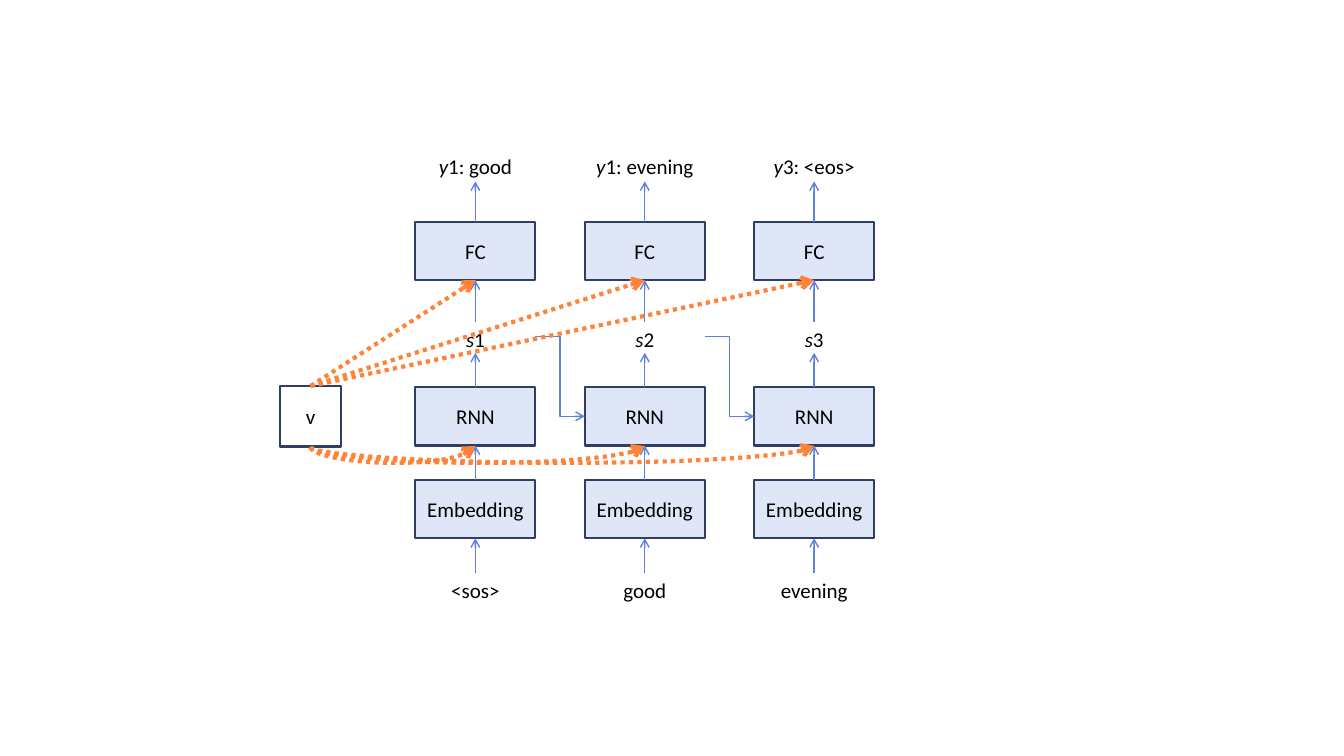
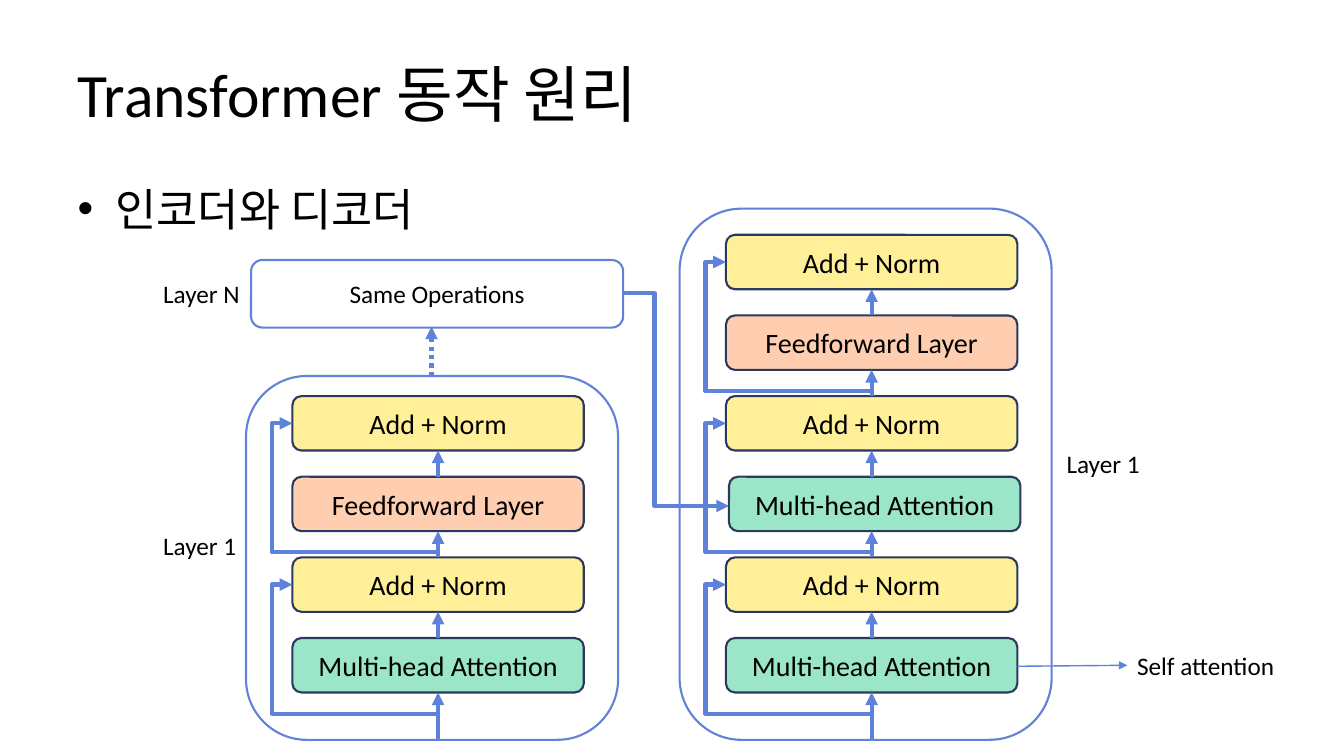
from pptx import Presentation
from pptx.dml.color import RGBColor
from pptx.enum.dml import MSO_LINE
from pptx.enum.shapes import MSO_CONNECTOR as CONN, MSO_SHAPE as SHAPE
from pptx.enum.text import MSO_ANCHOR as ANCHOR, PP_ALIGN as ALIGN
from pptx.oxml.ns import qn
from pptx.util import Inches, Pt
from lxml.etree import SubElement

FONT = "Calibri"
COLORS = {
    "text": "000000", "white": "FFFFFF", "cell": "DFE6F7",
    "cell_line": "2E3E67", "block_line": "2B395E", "frame_line": "6182D6",
    "arrow": "5E81D9", "context": "FF843A",
    "attention": "9BE5C8", "norm": "FFEF99", "feedforward": "FFCEB0",
}
BLOCKS = {
    "attention": "Multi-head Attention",
    "norm": "Add + Norm",
    "feedforward": "Feedforward Layer",
}
BLOCK_W, BLOCK_H, BLOCK_STEP, BLOCK_BOTTOM = 2.89, 0.54, 0.8, 6.33
CELL_W, CELL_H, CELL_STEP = 1.19, 0.58, 1.68


def rgb(name):
    return RGBColor.from_string(COLORS[name])


def add_run(p, text, size, italic=False):
    r = p.add_run()
    r.text = text
    r.font.name = FONT
    r.font.size = Pt(size)
    r.font.color.rgb = rgb("text")
    if italic:
        r.font.italic = True


def add_box(s, x, y, w, h, fill, line, text="", size=15, kind=SHAPE.RECTANGLE):
    sp = s.shapes.add_shape(kind, Inches(x), Inches(y), Inches(w), Inches(h))
    sp.shadow.inherit = False
    sp.fill.solid()
    sp.fill.fore_color.rgb = rgb(fill)
    sp.line.color.rgb = rgb(line)
    sp.line.width = Pt(1.5)
    if text:
        tf = sp.text_frame
        tf.vertical_anchor = ANCHOR.MIDDLE
        p = tf.paragraphs[0]
        p.alignment = ALIGN.CENTER
        add_run(p, text, size)


def add_label(s, x, y, w, text, size, variable="", centred=False):
    sp = s.shapes.add_textbox(Inches(x), Inches(y), Inches(w), Inches(0.4))
    tf = sp.text_frame
    tf.word_wrap = centred
    p = tf.paragraphs[0]
    p.alignment = ALIGN.CENTER if centred else ALIGN.LEFT
    if variable:
        add_run(p, variable, size, italic=True)
    add_run(p, text, size)


def add_arrow(s, start, end, color="arrow", width=1, head="arrow",
              kind=CONN.STRAIGHT, bend=None, dotted=False):
    c = s.shapes.add_connector(kind, *(Inches(v) for v in (*start, *end)))
    c.line.color.rgb = rgb(color)
    c.line.width = Pt(width)
    if dotted:
        c.line.dash_style = MSO_LINE.ROUND_DOT
    SubElement(c.line._get_or_add_ln(), qn("a:tailEnd"), type=head)
    sp_pr = c._element.spPr
    SubElement(sp_pr, qn("a:effectLst"))
    if bend is not None:
        guides = sp_pr.find(qn("a:prstGeom")).get_or_add_avLst()
        SubElement(guides, qn("a:gd"), name="adj1",
                   fmla=f"val {round(bend * 100000)}")
    return c


def add_flow(s, start, end, **options):
    return add_arrow(s, start, end, width=3, head="triangle", **options)


def add_context_curve(s, x1, x2, y):
    span, rise, sag = x2 - x1, 0.01, 0.16
    middle, half = (x1 + x2) / 2, span / 2
    c = add_arrow(s, (middle + rise / 2, y + half), (middle - rise / 2, y - half),
                  "context", 3, kind=CONN.CURVE, bend=-sag / rise, dotted=True)
    c._element.spPr.find(qn("a:xfrm")).set("rot", "5400000")


def add_time_step(s, x, step, word, output, output_number):
    cx = x + CELL_W / 2
    for y, name in ((2.2, "FC"), (3.84, "RNN"), (4.76, "Embedding")):
        add_box(s, x, y, CELL_W, CELL_H, "cell", "cell_line", name)
    for y1, y2 in ((5.68, 5.34), (4.76, 4.42), (3.84, 3.5), (3.19, 2.78), (2.2, 1.8)):
        add_arrow(s, (cx, y1), (cx, y2))
    add_label(s, x, 5.68, CELL_W, word, 15, centred=True)
    add_label(s, x, 3.19, CELL_W, str(step), 15, "s", True)
    add_label(s, x, 1.47, CELL_W, f"{output_number}: {output}", 15, "y", True)


def add_stack(s, x, names, shifts=()):
    cx = x + BLOCK_W / 2
    tail = 7.34
    for i, name in enumerate(names):
        y = BLOCK_BOTTOM - i * BLOCK_STEP
        left = x + (0.03 if i in shifts else 0)
        add_box(s, left, y, BLOCK_W, BLOCK_H, name, "block_line", BLOCKS[name],
                20, SHAPE.ROUNDED_RECTANGLE)
        add_flow(s, (cx, tail), (cx, y + BLOCK_H))
        tail = y
        if name == "norm":
            target = y + BLOCK_H / 2
            add_flow(s, (cx, target + 1.28), (x, target), kind=CONN.ELBOW, bend=1.14)


def add_frame(s, x, y, h, text=""):
    add_box(s, x, y, 3.69, h, "white", "frame_line", text, 18, SHAPE.ROUNDED_RECTANGLE)


def place_text(sp, x, y, w, h, text, size):
    sp.left, sp.top, sp.width, sp.height = (Inches(v) for v in (x, y, w, h))
    p = sp.text_frame.paragraphs[0]
    p.alignment = ALIGN.LEFT
    add_run(p, text, size)


def build_decoder_slide(prs):
    s = prs.slides.add_slide(prs.slide_layouts[6])
    steps = (("<sos>", "good", 1), ("good", "evening", 1), ("evening", "<eos>", 3))
    lefts = [4.12 + i * CELL_STEP for i in range(len(steps))]
    for i, (x, (word, output, number)) in enumerate(zip(lefts, steps)):
        add_time_step(s, x, i + 1, word, output, number)
        if i:
            add_arrow(s, (lefts[i - 1] + CELL_W, 3.34), (x, 4.13), kind=CONN.ELBOW)
    add_box(s, 2.78, 3.83, 0.6, 0.6, "white", "cell_line", "v")
    for x in lefts:
        cx = x + CELL_W / 2
        add_context_curve(s, 3.08, cx, 4.43)
        add_arrow(s, (3.08, 3.83), (cx, 2.78), "context", 3, dotted=True)


def build_transformer_slide(prs):
    s = prs.slides.add_slide(prs.slide_layouts[1])
    title, body = s.placeholders
    place_text(title, 0.67, 0.3, 12, 1.25, "Transformer 동작 원리", 44)
    title.text_frame.vertical_anchor = ANCHOR.MIDDLE
    place_text(body, 0.67, 1.75, 12, 4.95, "인코더와 디코더", 32)

    add_frame(s, 2.44, 3.73, 3.61)
    add_stack(s, 2.9, ("attention", "norm", "feedforward", "norm"))
    add_frame(s, 2.49, 2.58, 0.67, "Same Operations")
    add_flow(s, (4.28, 3.73), (4.28, 3.24), color="frame_line", dotted=True)

    add_frame(s, 6.74, 2.07, 5.27)
    add_stack(s, 7.2, ("attention", "norm", "attention", "norm", "feedforward", "norm"),
              shifts=(2,))
    add_flow(s, (6.19, 2.91), (7.23, 5.02), kind=CONN.ELBOW, bend=0.29)
    add_arrow(s, (10.09, 6.61), (11.18, 6.6), head="triangle")

    for x, y, w, text in ((1.52, 2.71, 0.97, "Layer N"), (1.52, 5.21, 0.94, "Layer 1"),
                          (10.48, 4.4, 0.94, "Layer 1"),
                          (11.18, 6.4, 1.58, "Self attention")):
        add_label(s, x, y, w, text, 18)


def main():
    prs = Presentation()
    prs.slide_width, prs.slide_height = Inches(13.33), Inches(7.5)
    build_decoder_slide(prs)
    build_transformer_slide(prs)
    prs.save("out.pptx")


if __name__ == "__main__":
    main()
